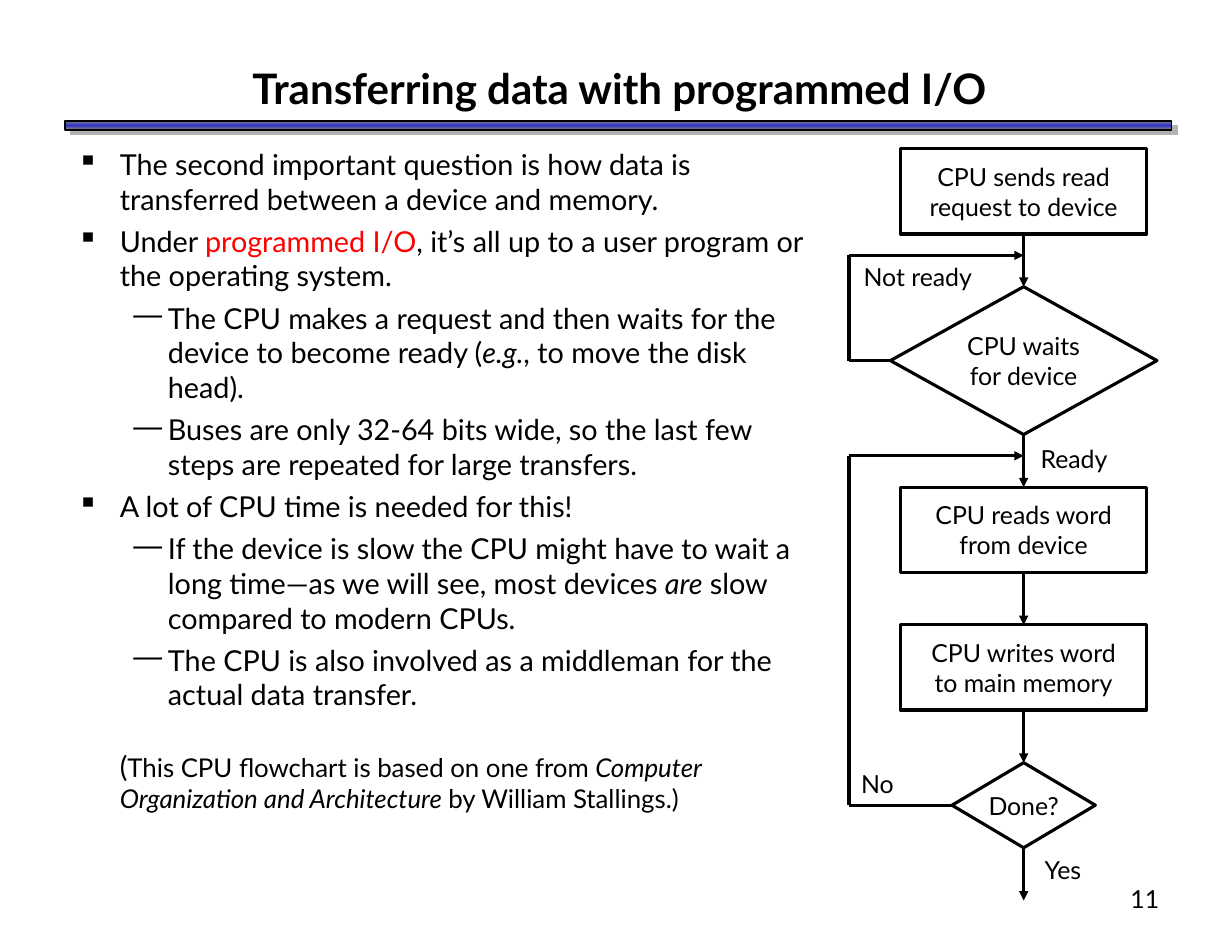
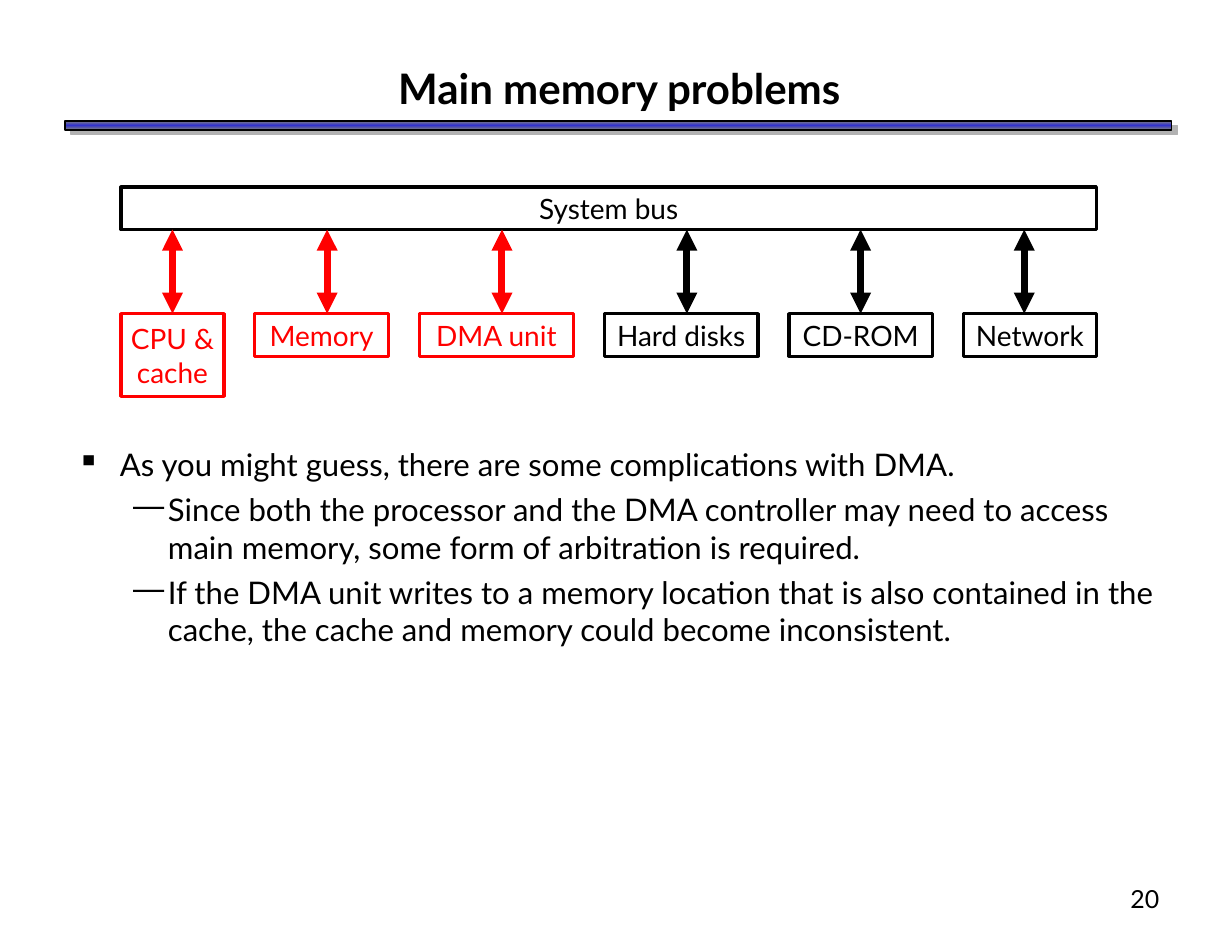
from pptx import Presentation
from pptx.dml.color import RGBColor
from pptx.enum.shapes import MSO_CONNECTOR, MSO_SHAPE as SHAPE
from pptx.enum.text import MSO_ANCHOR as ANCHOR, PP_ALIGN as ALIGN
from pptx.oxml import parse_xml
from pptx.oxml.ns import nsdecls, qn
from pptx.util import Inches, Pt

COLORS = {
    "text": "000000",
    "accent": "FF0000",
    "band": "3333CC",
    "band_edge": "808080",
    "shadow": "B2B2B2",
}
FONT = "Lato"
INSETS = {"margin_left": 0.11, "margin_right": 0.11, "margin_top": 0.06, "margin_bottom": 0.06}
BULLETS = {0: ("▪", 0.38, -0.38), 1: ("—", 0.81, -0.31)}
ITALIC = {"italic": True}


def rgb(name):
    return RGBColor.from_string(COLORS[name])


def add_runs(p, runs, size, color="text", **fmt):
    for run in [runs] if isinstance(runs, str) else runs:
        text, extra = (run, {}) if isinstance(run, str) else run
        r = p.add_run()
        r.text = text
        values = {"name": FONT, "size": size, "color": color, **fmt, **extra}
        r.font.color.rgb = rgb(values.pop("color"))
        values["size"] = Pt(values["size"])
        for key, value in values.items():
            setattr(r.font, key, value)


def set_frame(tf, wrap=True, anchor=ANCHOR.MIDDLE):
    tf.word_wrap = wrap
    tf.vertical_anchor = anchor
    for key, value in INSETS.items():
        setattr(tf, key, Inches(value))


def fill_lines(tf, text, size, color="text", align=ALIGN.CENTER, **fmt):
    for i, line in enumerate(text.split("\n")):
        p = tf.add_paragraph() if i else tf.paragraphs[0]
        p.alignment = align
        add_runs(p, line, size, color, **fmt)


def add_text(slide, at, text, size, wrap=True, anchor=ANCHOR.MIDDLE, align=ALIGN.CENTER, **fmt):
    tf = slide.shapes.add_textbox(*map(Inches, at)).text_frame
    set_frame(tf, wrap, anchor)
    fill_lines(tf, text, size, align=align, **fmt)


def add_box(slide, kind, at, text="", size=16, color="text", width=2):
    s = slide.shapes.add_shape(kind, *map(Inches, at))
    s.shadow.inherit = False
    s.fill.background()
    s.line.color.rgb = rgb(color)
    s.line.width = Pt(width)
    if text:
        set_frame(s.text_frame, wrap=False)
        fill_lines(s.text_frame, text, size, color)
    return s


def add_line(slide, start, end, color="text", width=2, heads=()):
    c = slide.shapes.add_connector(MSO_CONNECTOR.STRAIGHT, *map(Inches, (*start, *end)))
    c.line.color.rgb = rgb(color)
    c.line.width = Pt(width)
    ln = c.line._get_or_add_ln()
    for head in heads:
        ln.append(parse_xml(f'<a:{head} {nsdecls("a")} type="triangle"/>'))
    c._element.spPr.append(parse_xml(f'<a:effectLst {nsdecls("a")}/>'))
    return c


def add_band(slide):
    s = add_box(slide, SHAPE.RECTANGLE, (0.58, 1.08, 9.88, 0.08), width=1)
    spPr = s._element.spPr
    stops = "".join(
        f'<a:gs pos="{pos}"><a:srgbClr val="{COLORS[name]}"/></a:gs>'
        for pos, name in ((0, "band_edge"), (50000, "band"), (100000, "band_edge"))
    )
    spPr.replace(spPr.find(qn("a:noFill")), parse_xml(
        f'<a:gradFill {nsdecls("a")} rotWithShape="1"><a:gsLst>{stops}</a:gsLst>'
        '<a:lin ang="5400000" scaled="0"/></a:gradFill>'))
    spPr.find(qn("a:effectLst")).append(parse_xml(
        f'<a:outerShdw {nsdecls("a")} dist="63500" dir="2220000" algn="ctr" rotWithShape="0">'
        f'<a:srgbClr val="{COLORS["shadow"]}"/></a:outerShdw>'))


def add_slide(prs, title, number):
    slide = prs.slides.add_slide(prs.slide_layouts[6])
    add_band(slide)
    add_text(slide, (8.17, 7.83, 2.29, 0.57), number, 16, anchor=ANCHOR.TOP, align=ALIGN.RIGHT)
    add_text(slide, (0.58, 0.5, 9.9, 0.57), title, 27, bold=True)
    return slide


def set_indent(p, left, first):
    pPr = p._p.get_or_add_pPr()
    pPr.set("marL", str(Inches(left)))
    pPr.set("indent", str(Inches(first)))
    return pPr


def add_bullets(slide, at, size, items):
    tf = slide.shapes.add_textbox(*map(Inches, at)).text_frame
    set_frame(tf, anchor=ANCHOR.TOP)
    for i, (level, runs) in enumerate(items):
        p = tf.add_paragraph() if i else tf.paragraphs[0]
        p.level = level
        p.space_before = Pt(5 if i else 0)
        char, left, first = BULLETS[level]
        pPr = set_indent(p, left, first)
        pPr.append(parse_xml(
            f'<a:buClr {nsdecls("a")}><a:srgbClr val="{COLORS["text"]}"/></a:buClr>'))
        pPr.append(parse_xml(f'<a:buChar {nsdecls("a")} char="{char}"/>'))
        add_runs(p, runs, size)
    return tf


def add_note(tf, runs, size):
    p = tf.add_paragraph()
    p.space_before = Pt(23.5)
    set_indent(p, 0.38, 0)
    add_runs(p, runs, size)


def add_loop(slide, step, x, center, y_from, y_to):
    out = add_line(slide, (center, y_from), (x, y_from))
    out.begin_connect(step, 1)
    add_line(slide, (x, y_to), (x, y_from))
    add_line(slide, (x, y_to), (center, y_to), heads=["tailEnd"])


def add_flowchart(slide):
    center, top, gap, loop_x, entry = 9.14, 1.33, 0.47, 7.58, 0.19
    process, decision = SHAPE.FLOWCHART_PROCESS, SHAPE.FLOWCHART_DECISION
    steps = [
        (process, 2.2, 0.76, "CPU sends read\nrequest to device", None),
        (decision, 2.38, 1.32, "CPU waits\nfor device", 1),
        (process, 2.2, 0.76, "CPU reads word\nfrom device", None),
        (process, 2.2, 0.76, "CPU writes word\nto main memory", None),
        (decision, 1.28, 0.76, "Done?", 2),
    ]
    tops, previous = [], None
    for kind, width, height, text, back_to in steps:
        tops.append(top)
        s = add_box(slide, kind, (center - width / 2, top, width, height), text)
        if previous:
            arrow = add_line(slide, (center, top - gap), (center, top), heads=["tailEnd"])
            arrow.begin_connect(previous, 2)
            arrow.end_connect(s, 0)
        if back_to:
            add_loop(slide, s, loop_x, center, top + height / 2, tops[back_to] - gap + entry)
        previous = s
        top += height + gap
    leave = add_line(slide, (center, top - gap), (center, top), heads=["tailEnd"])
    leave.begin_connect(previous, 2)
    for left, y, width, text in (
        (7.57, 2.28, 1.25, "Not ready"),
        (9.16, 3.9, 0.86, "Ready"),
        (7.57, 6.81, 0.53, "No"),
        (9.2, 7.57, 0.58, "Yes"),
    ):
        add_text(slide, (left, y, width, 0.38), text, 16, wrap=False)


def add_bus(slide):
    left, width, bus_top, height, unit_top = 1.08, 8.71, 1.67, 0.38, 2.8
    units = [
        ("CPU &\ncache", 0.92, 0.74, "accent", 0),
        ("Memory", 1.19, height, "accent", 0.05),
        ("DMA unit", 1.38, height, "accent", 0.05),
        ("Hard disks", 1.37, height, "text", 0.05),
        ("CD-ROM", 1.28, height, "text", 0),
        ("Network", 1.19, height, "text", -0.05),
    ]
    gap = (width - sum(unit[1] for unit in units)) / (len(units) - 1)
    add_box(slide, SHAPE.RECTANGLE, (left, bus_top, width, height), "System bus", 18)
    for text, unit_width, unit_height, color, shift in units:
        s = add_box(slide, SHAPE.RECTANGLE, (left, unit_top, unit_width, unit_height),
                    text, 18, color)
        x = left + unit_width / 2 + shift
        arrow = add_line(slide, (x, bus_top + height), (x, unit_top), color, 4.5,
                         ["headEnd", "tailEnd"])
        if not shift:
            arrow.end_connect(s, 0)
        left += unit_width + gap


def build_programmed_io(prs):
    slide = add_slide(prs, "Transferring data with programmed I/O", "11")
    tf = add_bullets(slide, (0.58, 1.25, 6.75, 6.5), 18.5, [
        (0, "The second important question is how data is transferred between a device and memory."),
        (0, ["Under ", ("programmed I/O", {"color": "accent"}),
             ", it’s all up to a user program or the operating system."]),
        (1, ["The CPU makes a request and then waits for the device to become ready (",
             ("e.g.", ITALIC), ", to move the disk head)."]),
        (1, "Buses are only 32-64 bits wide, so the last few steps are repeated for large transfers."),
        (0, "A lot of CPU time is needed for this!"),
        (1, ["If the device is slow the CPU might have to wait a long time—as we will see, "
             "most devices ", ("are", ITALIC), " slow compared to modern CPUs."]),
        (1, "The CPU is also involved as a middleman for the actual data transfer."),
    ])
    add_note(tf, [("(", {"size": 18.5}), "This CPU flowchart is based on one from ",
                  ("Computer Organization and Architecture", ITALIC),
                  " by William Stallings.)"], 16.6)
    add_flowchart(slide)


def build_memory_problems(prs):
    slide = add_slide(prs, "Main memory problems", "20")
    add_bullets(slide, (0.58, 3.92, 9.87, 3.83), 20, [
        (0, "As you might guess, there are some complications with DMA."),
        (1, "Since both the processor and the DMA controller may need to access main memory, "
            "some form of arbitration is required."),
        (1, "If the DMA unit writes to a memory location that is also contained in the cache, "
            "the cache and memory could become inconsistent."),
    ])
    add_bus(slide)


def main():
    prs = Presentation()
    prs.slide_width, prs.slide_height = Inches(11), Inches(8.5)
    build_programmed_io(prs)
    build_memory_problems(prs)
    prs.save("out.pptx")


if __name__ == "__main__":
    main()
